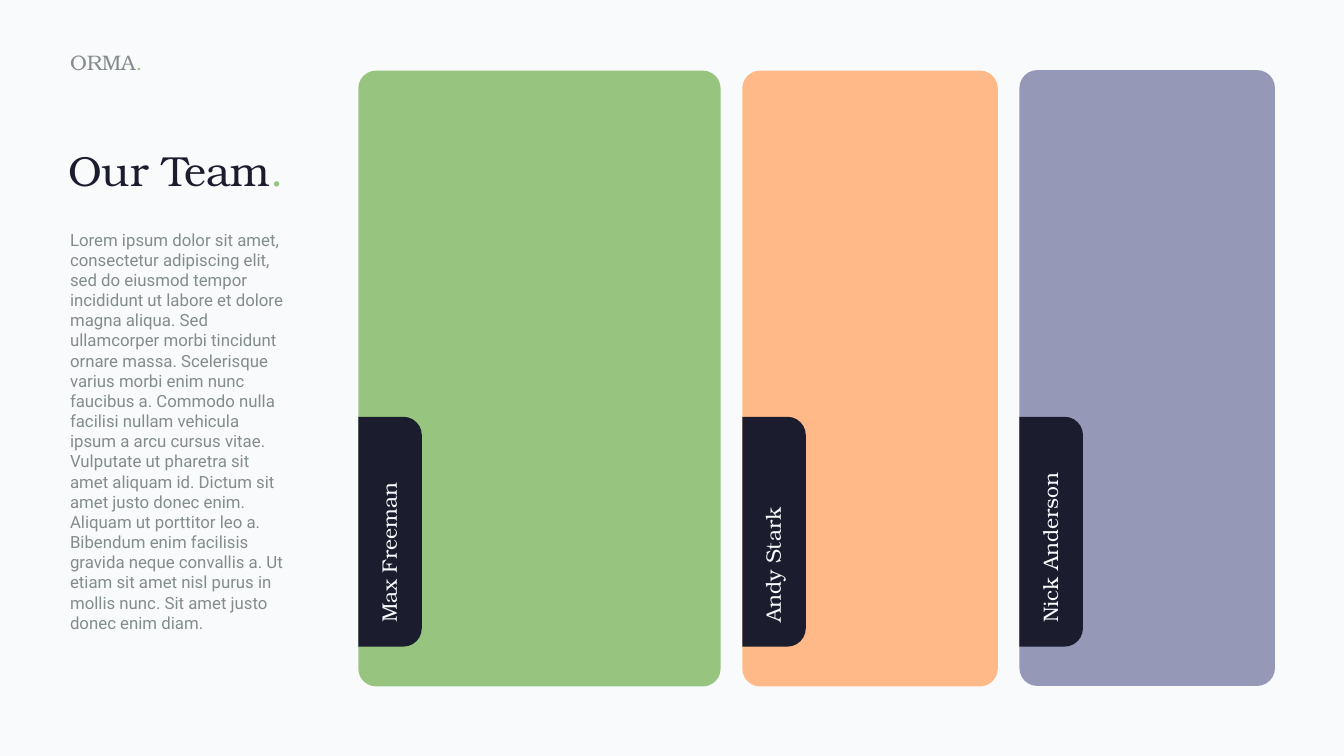
from pptx import Presentation
from pptx.dml.color import RGBColor
from pptx.enum.shapes import MSO_SHAPE
from pptx.enum.text import MSO_ANCHOR, MSO_AUTO_SIZE, PP_ALIGN
from pptx.oxml.xmlchemy import OxmlElement
from pptx.util import Inches, Pt

INK = {"page": "F9FAFB", "dark": "1B1C2E", "gray": "838C8C", "logo": "868C8C",
       "green": "97C57F", "dot": "A1C587", "peach": "FFB887", "lilac": "9598B7",
       "white": "F8FBFC"}
SERIF, SANS = "TeX Gyre Bonum", "Roboto"
BODY = ("Lorem ipsum dolor sit amet, consectetur adipiscing elit, sed do eiusmod tempor "
        "incididunt ut labore et dolore magna aliqua. Sed ullamcorper morbi tincidunt "
        "ornare massa. Scelerisque varius morbi enim nunc faucibus a. Commodo nulla "
        "facilisi nullam vehicula ipsum a arcu cursus vitae. Vulputate ut pharetra sit "
        "amet aliquam id. Dictum sit amet justo donec enim. Aliquam ut porttitor leo a. "
        "Bibendum enim facilisis gravida neque convallis a. Ut etiam sit amet nisl purus "
        "in mollis nunc. Sit amet justo donec enim diam.")
TEAM = [("Max Freeman", "green", 7.11, 1.4, 7.19),
        ("Andy Stark", "peach", 14.73, 1.4, 5.07),
        ("Nick Anderson", "lilac", 20.23, 1.39, 5.07)]
HIGH = 12.22


def tint(name):
    """Return a palette colour."""
    return RGBColor.from_string(INK[name])


def place(shape, left, top, width, height):
    """Move and size a shape in inches."""
    shape.left, shape.top = Inches(left), Inches(top)
    shape.width, shape.height = Inches(width), Inches(height)


def write(shape, *runs, size=30, font=SERIF, anchor=MSO_ANCHOR.TOP):
    """Fill a shape with one left-aligned paragraph of (text, colour) runs."""
    frame = shape.text_frame
    frame.word_wrap = True
    frame.auto_size = MSO_AUTO_SIZE.NONE
    frame.vertical_anchor = anchor
    frame.margin_left = frame.margin_right = Inches(0.06)
    frame.margin_top = frame.margin_bottom = Inches(0.06)
    para = frame.paragraphs[0]
    para.alignment = PP_ALIGN.LEFT
    para.space_before = Pt(0)
    for text, color in runs:
        run = para.add_run()
        run.text = text
        run.font.name, run.font.size = font, Pt(size)
        run.font.color.rgb = tint(color)


def block(slide, kind, color, box, round_by):
    """Add a plain filled shape with rounded corners."""
    shape = slide.shapes.add_shape(kind, *map(Inches, box))
    shape.shadow.inherit = False
    shape.fill.solid()
    shape.fill.fore_color.rgb = tint(color)
    shape.line.fill.background()
    shape.adjustments[0] = round_by
    return shape


def label(slide, *runs, box, **form):
    """Add a text box."""
    shape = slide.shapes.add_textbox(*map(Inches, box))
    write(shape, *runs, **form)
    return shape


def intro(slide, left, top):
    """Build the logo line, title and body column."""
    label(slide, ("ORMA", "logo"), (".", "dot"), box=(left, top, 1.84, 0.65),
          anchor=MSO_ANCHOR.MIDDLE)
    title, body = slide.shapes.title, slide.placeholders[1]
    place(title, left - 0.04, top + 1.91, 5.19, 1.12)
    write(title, ("Our Team", "dark"), (".", "green"), size=60)
    place(body, left, top + 3.59, 4.41, 8.19)
    props = body.text_frame.paragraphs[0]._p.get_or_add_pPr()
    props.set("marL", "0")
    props.set("indent", "0")
    props.append(OxmlElement("a:buNone"))
    write(body, (BODY, "gray"), size=24, font=SANS)


def card(slide, name, color, left, top, width):
    """Build a member card with its upright name tab."""
    block(slide, MSO_SHAPE.ROUNDED_RECTANGLE, color, (left, top, width, HIGH), 0.355 / width)
    long, thick = 4.56, 1.26
    mid_x, mid_y = left + thick / 2, 10.55
    tab = block(slide, MSO_SHAPE.ROUND_2_SAME_RECTANGLE, "dark",
                (mid_x - long / 2, mid_y - thick / 2, long, thick), 0.29)
    tab.rotation = 90
    text = label(slide, (name, "white"), box=(mid_x - 1.75, 10.39, 3.44, 0.62))
    text.rotation = 270


def main():
    """Build and save the team slide."""
    deck = Presentation()
    deck.slide_width, deck.slide_height = Inches(26.67), Inches(15)
    slide = deck.slides.add_slide(deck.slide_layouts[1])
    slide.background.fill.solid()
    slide.background.fill.fore_color.rgb = tint("page")
    intro(slide, 1.33, 0.9)
    for member in TEAM:
        card(slide, *member)
    deck.save("out.pptx")


if __name__ == "__main__":
    main()
